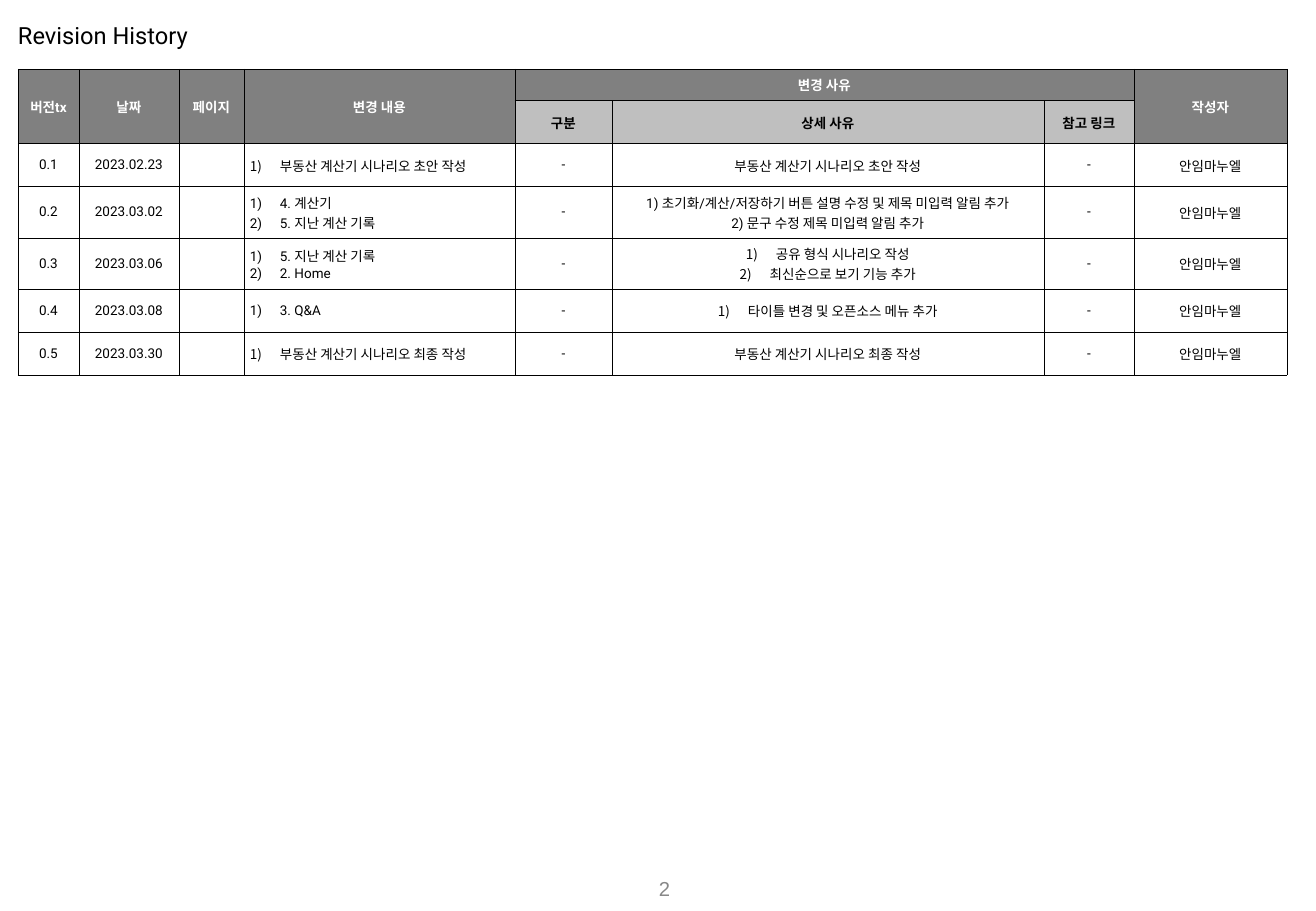
import lxml.etree
import pptx
import pptx.dml.color
import pptx.enum.text
import pptx.oxml.ns
import pptx.util

EMU_PER_PX = 914400 / 121.5
COLUMN_WIDTHS = [61, 100, 65, 271, 97, 432, 90, 153]
ROW_HEIGHTS = [30] + [43] * 6
HEADINGS = ["버전tx", "날짜", "페이지", "변경 내용", "변경 사유", "", "", "작성자"]
REASON_HEADINGS = {4: "구분", 5: "상세 사유", 6: "참고 링크"}
CHANGES_COLUMN, REASONS_COLUMN = 3, 5
AUTHOR = "안임마누엘"
REVISIONS = [
    ("0.1", "2023.02.23", ["부동산 계산기 시나리오 초안 작성"],
     ["부동산 계산기 시나리오 초안 작성"], False),
    ("0.2", "2023.03.02", ["4. 계산기", "5. 지난 계산 기록"],
     ["1) 초기화/계산/저장하기 버튼 설명 수정 및 제목 미입력 알림 추가",
      "2) 문구 수정 제목 미입력 알림 추가"], False),
    ("0.3", "2023.03.06", ["5. 지난 계산 기록", "2. Home"],
     ["공유 형식 시나리오 작성", "최신순으로 보기 기능 추가"], True),
    ("0.4", "2023.03.08", ["3. Q&A"], ["타이틀 변경 및 오픈소스 메뉴 추가"], True),
    ("0.5", "2023.03.30", ["부동산 계산기 시나리오 최종 작성"],
     ["부동산 계산기 시나리오 최종 작성"], False),
]


def px(length):
    return pptx.util.Emu(round(length * EMU_PER_PX))


def colour(value):
    return pptx.dml.color.RGBColor.from_string(value)


def add_element(parent, tag, **attributes):
    return lxml.etree.SubElement(parent, pptx.oxml.ns.qn(tag), attributes)


class SlideWriter:
    font_name = "Roboto"
    black, white = "000000", "FFFFFF"
    heading_fill, subheading_fill = "808080", "BFBFBF"
    number_colour = "888888"
    inset = 6
    indent = 30
    center = pptx.enum.text.PP_ALIGN.CENTER
    left = pptx.enum.text.PP_ALIGN.LEFT
    right = pptx.enum.text.PP_ALIGN.RIGHT
    middle = pptx.enum.text.MSO_ANCHOR.MIDDLE

    def __init__(self, slide):
        self.slide = slide

    def format_paragraph(self, paragraph, size, text_colour, align, bold=False, font_name=None):
        paragraph.alignment = align
        font = paragraph.font
        font.name = font_name or self.font_name
        font.size = pptx.util.Pt(size)
        font.bold = bold
        font.color.rgb = colour(text_colour)

    def set_margins(self, target, margin):
        target.margin_left = target.margin_right = px(margin)
        target.margin_top = target.margin_bottom = px(margin)
        target.vertical_anchor = self.middle

    def title(self, text, left, top, width, height):
        title = self.slide.shapes.title
        title.left, title.top, title.width, title.height = map(px, (left, top, width, height))
        title.text_frame.text = text
        self.set_margins(title.text_frame, 0)
        self.format_paragraph(title.text_frame.paragraphs[0], 14, self.black, self.left)

    def page_number(self, text, left, top, width, height):
        box = self.slide.shapes.add_textbox(*map(px, (left, top, width, height)))
        frame = box.text_frame
        frame.text = text
        frame.word_wrap = False
        frame.auto_size = pptx.enum.text.MSO_AUTO_SIZE.SHAPE_TO_FIT_TEXT
        self.set_margins(frame, self.inset)
        self.format_paragraph(frame.paragraphs[0], 12, self.number_colour, self.right,
                              font_name="Arial")

    def table(self, left, top, widths, heights):
        area = (left, top, sum(widths), sum(heights))
        frame = self.slide.shapes.add_table(len(heights), len(widths), *map(px, area))
        table = frame.table
        table.horz_banding = False
        for column, width in zip(table.columns, widths):
            column.width = px(width)
        for row, height in zip(table.rows, heights):
            row.height = px(height)
        return table

    def number_paragraph(self, paragraph):
        properties = paragraph._p.get_or_add_pPr()
        properties.set("marL", str(px(self.indent)))
        properties.set("indent", str(px(-self.indent)))
        add_element(properties, "a:buFont", typeface="+mj-lt")
        add_element(properties, "a:buAutoNum", type="arabicParenR")

    def cell(self, cell, lines, fill="FFFFFF", text_colour="000000", bold=False,
             align=pptx.enum.text.PP_ALIGN.CENTER, numbered=False):
        self.set_margins(cell, self.inset)
        properties = cell._tc.get_or_add_tcPr()
        for side in ("a:lnL", "a:lnR", "a:lnT", "a:lnB"):
            line = add_element(properties, side, w=str(pptx.util.Pt(0.25)))
            add_element(add_element(line, "a:solidFill"), "a:srgbClr", val=self.black)
        cell.fill.solid()
        cell.fill.fore_color.rgb = colour(fill)
        cell.text_frame.text = "\n".join(lines)
        for paragraph in cell.text_frame.paragraphs:
            if numbered:
                self.number_paragraph(paragraph)
            self.format_paragraph(paragraph, 8, text_colour, align, bold)
            if not paragraph.runs:
                add_element(paragraph._p, "a:endParaRPr", sz="800")

    def headings(self, table):
        for index, heading in enumerate(HEADINGS):
            self.cell(table.cell(0, index), [heading], self.heading_fill, self.white, True)
            subheading = REASON_HEADINGS.get(index, "")
            fill = self.subheading_fill if subheading else self.heading_fill
            self.cell(table.cell(1, index), [subheading], fill, self.black, True)
            if not subheading:
                table.cell(0, index).merge(table.cell(1, index))
        table.cell(0, min(REASON_HEADINGS)).merge(table.cell(0, max(REASON_HEADINGS)))

    def revision(self, table, row, revision):
        version, date, changes, reasons, reasons_numbered = revision
        contents = [[version], [date], [""], changes, ["-"], reasons, ["-"], [AUTHOR]]
        for index, lines in enumerate(contents):
            is_changes = index == CHANGES_COLUMN
            numbered = is_changes or (index == REASONS_COLUMN and reasons_numbered)
            self.cell(table.cell(row, index), lines, numbered=numbered,
                      align=self.left if is_changes else self.center)


def main():
    deck = pptx.Presentation()
    deck.slide_width, deck.slide_height = px(1316), px(911)
    page = SlideWriter(deck.slides.add_slide(deck.slide_layouts[5]))
    page.title("Revision History", 18, 13, 688, 44)
    table = page.table(18, 69, COLUMN_WIDTHS, ROW_HEIGHTS)
    page.headings(table)
    for row, revision in enumerate(REVISIONS, start=2):
        page.revision(table, row, revision)
    page.page_number("2", 640, 871, 36, 35)
    deck.save("out.pptx")


if __name__ == "__main__":
    main()
